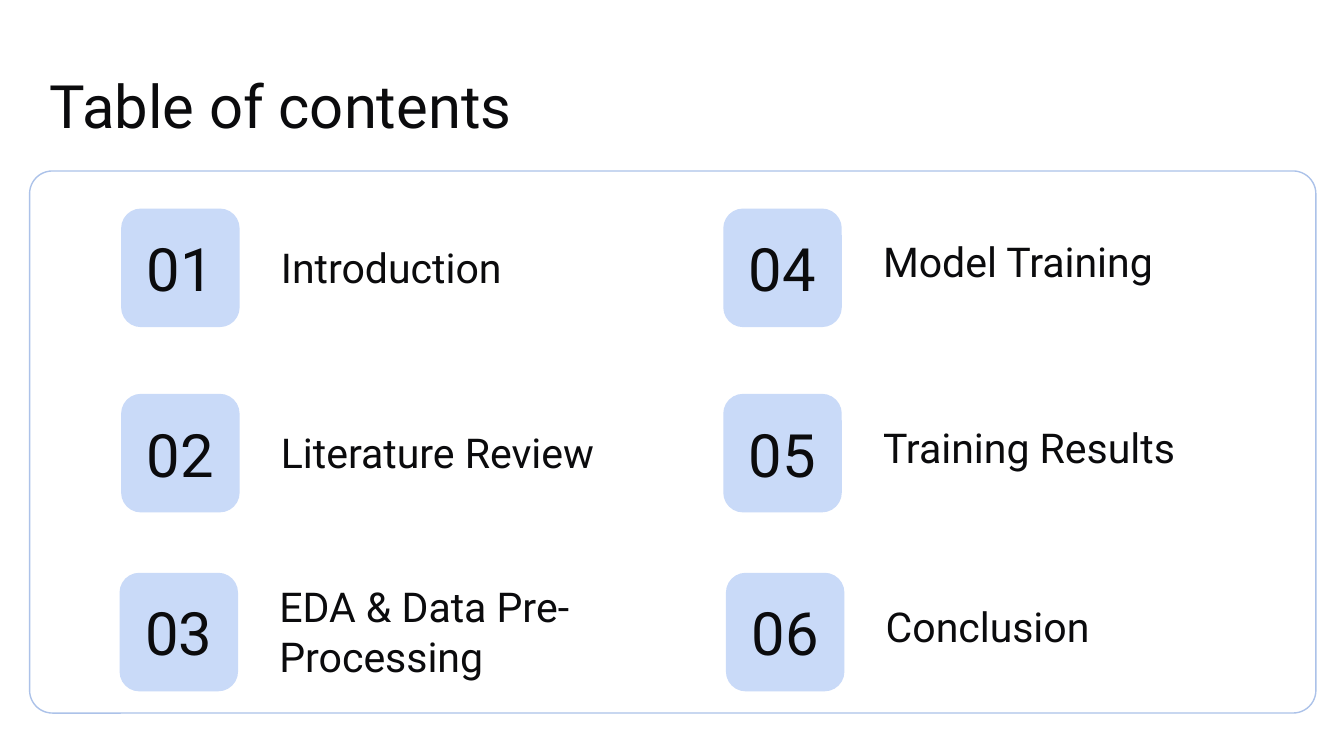
"""Build a table of contents slide with six numbered sections."""
from pptx import Presentation
from pptx import util as u
from pptx.dml.color import RGBColor
from pptx.enum import shapes, text

INK = RGBColor(0x0B, 0x0B, 0x0D)
TILE_BLUE = RGBColor(0xC9, 0xDA, 0xF8)
FRAME_BLUE = RGBColor(0xAC, 0xC2, 0xE9)


def write_text(shape, words, size=22, align=text.PP_ALIGN.LEFT,
               anchor=text.MSO_ANCHOR.MIDDLE):
    frame = shape.text_frame
    frame.word_wrap = True
    frame.auto_size = text.MSO_AUTO_SIZE.NONE
    frame.vertical_anchor = anchor
    frame.margin_left = frame.margin_right = u.Cm(0.25)
    frame.margin_top = frame.margin_bottom = u.Cm(0.25)
    paragraph = frame.paragraphs[0]
    paragraph.text = words
    paragraph.alignment = align
    paragraph.font.name = "Roboto"
    paragraph.font.size = u.Pt(size)
    paragraph.font.color.rgb = INK


def add_rounded_box(slide, left, top, width, height, rounding):
    shape = slide.shapes.add_shape(
        shapes.MSO_SHAPE.ROUNDED_RECTANGLE,
        u.Cm(left), u.Cm(top), u.Cm(width), u.Cm(height))
    shape.adjustments[0] = rounding
    shape.shadow.inherit = False
    return shape


presentation = Presentation()
presentation.slide_width = u.Cm(25.4)
presentation.slide_height = u.Cm(14.28)
slide = presentation.slides.add_slide(presentation.slide_layouts[5])

title = slide.shapes.title
title.left, title.top = u.Cm(0.69), u.Cm(1.04)
title.width, title.height = u.Cm(21.41), u.Cm(1.65)
write_text(title, "Table of contents", size=32, anchor=text.MSO_ANCHOR.TOP)

panel = add_rounded_box(slide, 0.56, 3.23, 24.31, 10.24, 0.042)
panel.fill.background()
panel.line.color.rgb = FRAME_BLUE
panel.line.width = u.Pt(0.75)

tile_size = 2.24
label_offset = 2.77
row_tops = [3.94, 7.44, 10.82]
columns = [
    ([2.29, 2.29, 2.26], 0.58,
     ["Introduction", "Literature Review", "EDA & Data Pre-Processing"]),
    ([13.67, 13.67, 13.72], 0.48,
     ["Model Training", "Training Results", "Conclusion"]),
]

number = 0
for lefts, label_drop, sections in columns:
    for left, top, section in zip(lefts, row_tops, sections):
        number += 1
        tile = add_rounded_box(slide, left, top, tile_size, tile_size, 0.167)
        tile.fill.solid()
        tile.fill.fore_color.rgb = TILE_BLUE
        tile.line.fill.background()
        write_text(tile, f"{number:02d}", size=32, align=text.PP_ALIGN.CENTER)

        label = slide.shapes.add_textbox(
            u.Cm(left + label_offset), u.Cm(top + label_drop),
            u.Cm(7.49), u.Cm(1.04))
        write_text(label, section)

presentation.save("out.pptx")
